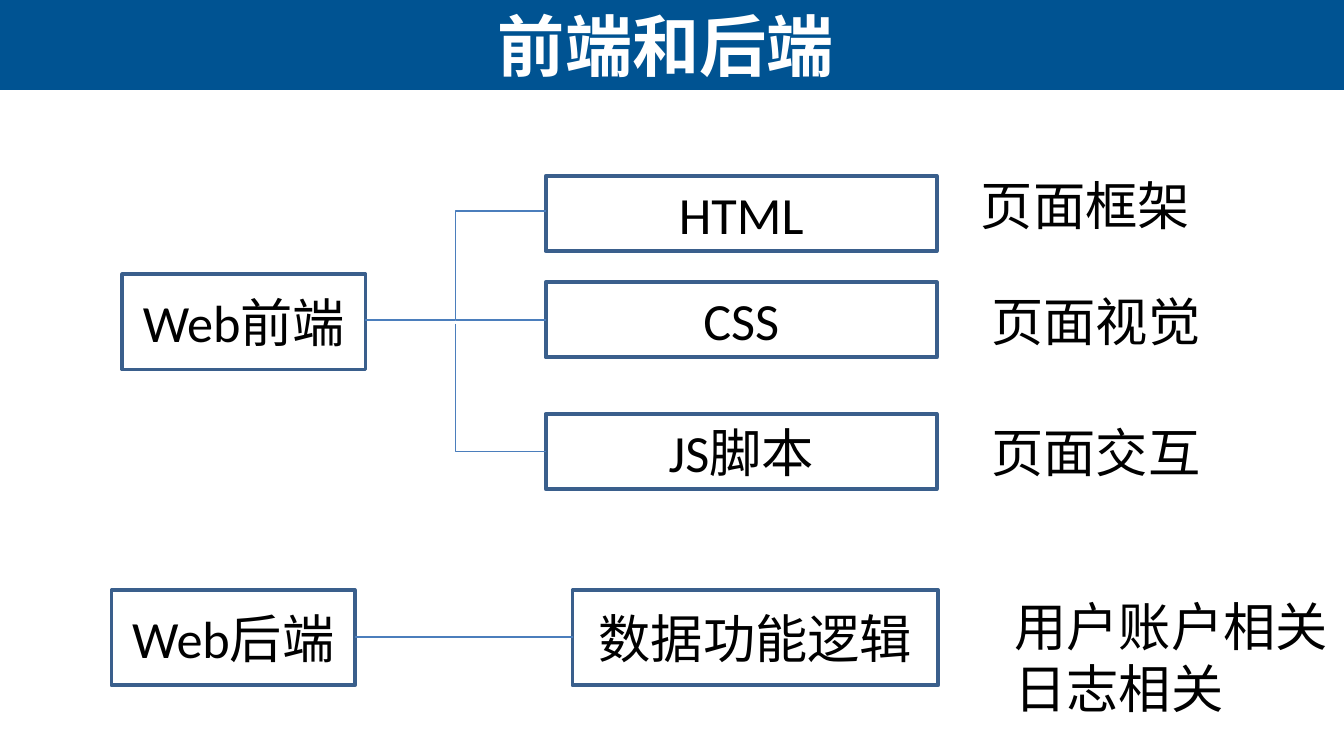
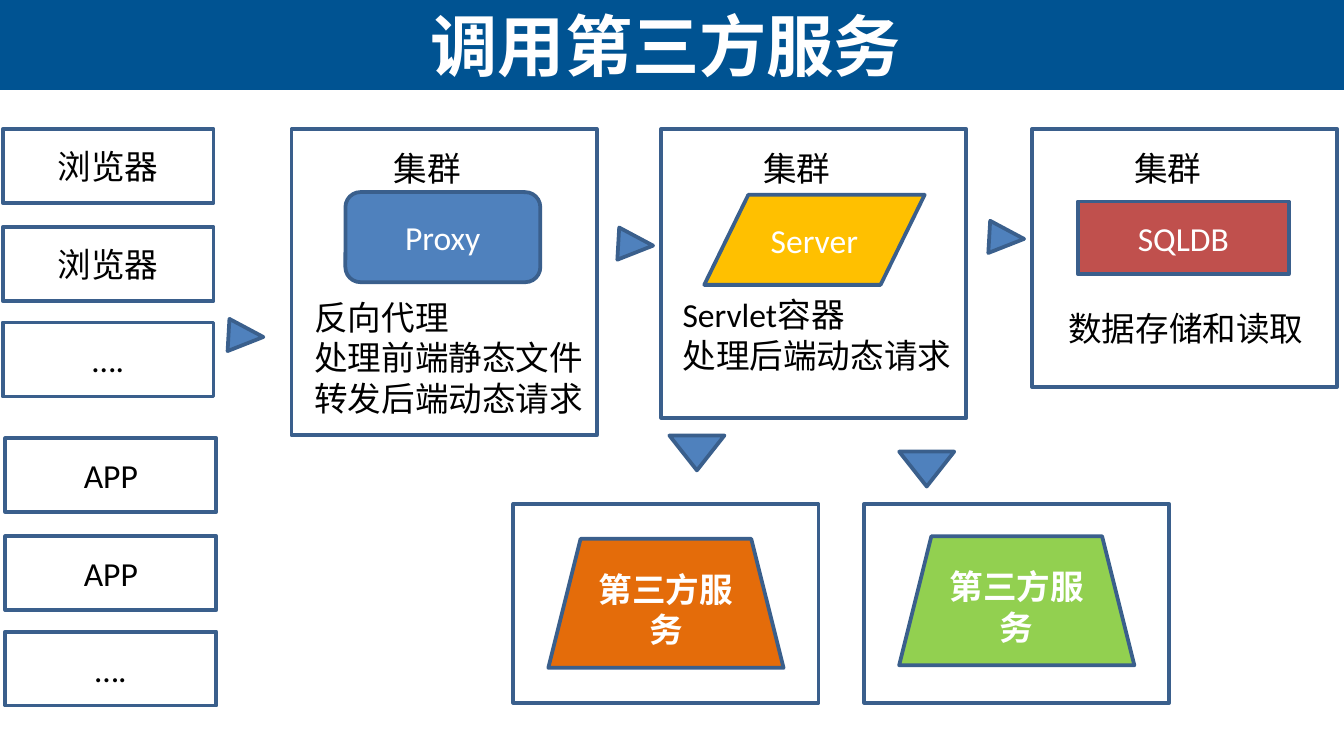
import pptx
import pptx.util
import pptx.dml.color
import pptx.enum.shapes
import pptx.enum.text
import pptx.oxml.ns
import lxml.etree

RGBColor = pptx.dml.color.RGBColor
SHAPE = pptx.enum.shapes.MSO_SHAPE
CONNECTOR = pptx.enum.shapes.MSO_CONNECTOR
ALIGN = pptx.enum.text.PP_ALIGN
ANCHOR = pptx.enum.text.MSO_ANCHOR
AUTO = pptx.enum.text.MSO_AUTO_SIZE
Pt = pptx.util.Pt
qn = pptx.oxml.ns.qn

BAND = RGBColor(0x00, 0x53, 0x92)
BORDER = RGBColor(0x3A, 0x5F, 0x8C)
LINK = RGBColor(0x4B, 0x7E, 0xBC)
BLUE = RGBColor(0x4F, 0x81, 0xBD)
YELLOW = RGBColor(0xFF, 0xC0, 0x00)
RED = RGBColor(0xC0, 0x50, 0x4D)
ORANGE = RGBColor(0xE4, 0x6C, 0x0A)
GREEN = RGBColor(0x92, 0xD0, 0x50)
WHITE = RGBColor(0xFF, 0xFF, 0xFF)
BLACK = RGBColor(0x00, 0x00, 0x00)

prs = pptx.Presentation()
prs.slide_width = pptx.util.Inches(10)
prs.slide_height = prs.slide_width * 9 // 16
COL = prs.slide_width / 100
ROW = prs.slide_height / 56.25
layout = prs.slide_layouts[5]


def grid(x, y, w, h):
    return [round(n) for n in (x * COL, y * ROW, w * COL, h * ROW)]


def add_box(slide, kind, place, text="", size=18, fill=None, bold=False):
    if kind is None:
        sp = slide.shapes.add_textbox(*grid(*place))
        sp.text_frame.auto_size = AUTO.SHAPE_TO_FIT_TEXT
    else:
        sp = slide.shapes.add_shape(kind, *grid(*place))
        sp.shadow.inherit = False
        sp.line.color.rgb = BORDER
        sp.line.width = Pt(2)
        if fill is None:
            sp.fill.background()
        else:
            sp.fill.solid()
            sp.fill.fore_color.rgb = fill
        sp.text_frame.vertical_anchor = ANCHOR.MIDDLE
    tf = sp.text_frame
    tf.word_wrap = True
    tf.text = text
    for p in tf.paragraphs:
        p.alignment = ALIGN.LEFT if kind is None else ALIGN.CENTER
        for r in p.runs:
            r.font.name = "Calibri"
            r.font.size = Pt(size)
            r.font.bold = bold
            r.font.color.rgb = BLACK if fill is None else WHITE
    return sp


slides = []
for heading in ("前端和后端", "调用第三方服务"):
    slide = prs.slides.add_slide(layout)
    title = slide.shapes.title
    title.left, title.top, title.width, title.height = grid(0.2, 0, 98.7, 6.7)
    tf = title.text_frame
    tf.text = heading
    tf.auto_size = AUTO.NONE
    tf.vertical_anchor = ANCHOR.MIDDLE
    p = tf.paragraphs[0]
    p.alignment = ALIGN.CENTER
    r = p.runs[0]
    r.font.name = "Arial"
    r.font.size = Pt(36)
    r.font.bold = True
    r.font.color.rgb = WHITE
    slides.append(slide)
ends, services = slides

band = add_box(ends, SHAPE.RECTANGLE, (0, 0, 100, 6.7), fill=BAND)
band.line.fill.background()
layout.shapes._spTree.insert(2, band._element)

for x, y, w, h, text in (
    (9.1, 20.4, 18.1, 7.1, "Web前端"),
    (40.6, 13.1, 29.1, 5.6, "HTML"),
    (40.6, 21, 29.1, 5.6, "CSS"),
    (40.6, 30.8, 29.1, 5.6, "JS脚本"),
    (8.3, 43.9, 18.1, 7.1, "Web后端"),
    (42.6, 43.9, 27.2, 7.1, "数据功能逻辑"),
):
    add_box(ends, SHAPE.RECTANGLE, (x, y, w, h), text, 28)

links = []
for kind, x1, y1, x2, y2 in (
    (CONNECTOR.STRAIGHT, 26.4, 47.4, 42.6, 47.4),
    (CONNECTOR.STRAIGHT, 33.9, 23.8, 40.6, 23.8),
    (CONNECTOR.ELBOW, 40.6, 15.7, 27.2, 23.8),
    (CONNECTOR.ELBOW, 32.5, 25.5, 42, 32.2),
):
    link = ends.shapes.add_connector(kind, *grid(x1, y1, x2, y2))
    link.line.color.rgb = LINK
    link.line.width = Pt(0.75)
    lxml.etree.SubElement(link._element.spPr, qn("a:effectLst"))
    links.append(link)

corner = links[-1]._element.spPr
corner.find(qn("a:prstGeom")).set("prst", "bentConnector2")
corner.find(qn("a:xfrm")).set("rot", str(270 * 60000))
corner.find(qn("a:xfrm")).set("flipH", "1")

for x, y, h, text in (
    (72, 12.4, 5.7, "页面框架"),
    (72.8, 21, 5.7, "页面视觉"),
    (72.8, 30.8, 5.7, "页面交互"),
    (74.5, 43.7, 10.4, "用户账户相关\n日志相关"),
):
    add_box(ends, None, (x, y, 26.9, h), text, 28)

for x, top, name in ((0.2, 9.6, "浏览器"), (0.4, 32.6, "APP")):
    for step, text in ((0, name), (7.3, name), (14.4, "….")):
        add_box(services, SHAPE.RECTANGLE, (x, top + step, 15.7, 5.5), text)

for kind, place, text, fill in (
    (SHAPE.ROUNDED_RECTANGLE, (25.7, 14.3, 14.5, 6.7), "Proxy", BLUE),
    (SHAPE.FLOWCHART_DATA, (52.4, 14.5, 16.4, 6.7), "Server", YELLOW),
    (SHAPE.RECTANGLE, (80.2, 15, 15.7, 5.4), "SQLDB", RED),
):
    add_box(services, kind, place, text, fill=fill)

for x, h in ((21.7, 22.8), (49.2, 21.5), (76.8, 19.2)):
    add_box(services, SHAPE.RECTANGLE, (x, 9.6, 22.7, h))
    add_box(services, None, (x + 6.6, 10.5, 9.4, 4), "集群")

for x, y, h, text in (
    (22.4, 21.6, 10.1, "反向代理\n处理前端静态文件\n转发后端动态请求"),
    (49.8, 21.4, 7.1, "Servlet容器\n处理后端动态请求"),
    (78.5, 22.4, 4, "数据存储和读取"),
):
    add_box(services, None, (x, y, 26.5, h), text)

for x, y, fill in ((38.2, 40.1, ORANGE), (64.3, 39.9, GREEN)):
    add_box(services, SHAPE.RECTANGLE, (x, 37.5, 22.7, 14.8))
    add_box(services, SHAPE.TRAPEZOID, (x + 2.6, y, 17.5, 9.6),
            "第三方服务", fill=fill, bold=True)

for x, y, w, turn in (
    (17.1, 23.7, 2.4, 93.3),
    (46.1, 16.9, 2.4, 93.3),
    (73.7, 16.4, 2.4, 93.3),
    (49.8, 32.4, 4.1, 180),
    (66.9, 33.6, 4.1, 180),
):
    arrow = add_box(services, SHAPE.ISOSCELES_TRIANGLE, (x, y, w, 2.6), fill=BLUE)
    arrow.rotation = turn

prs.save("out.pptx")
